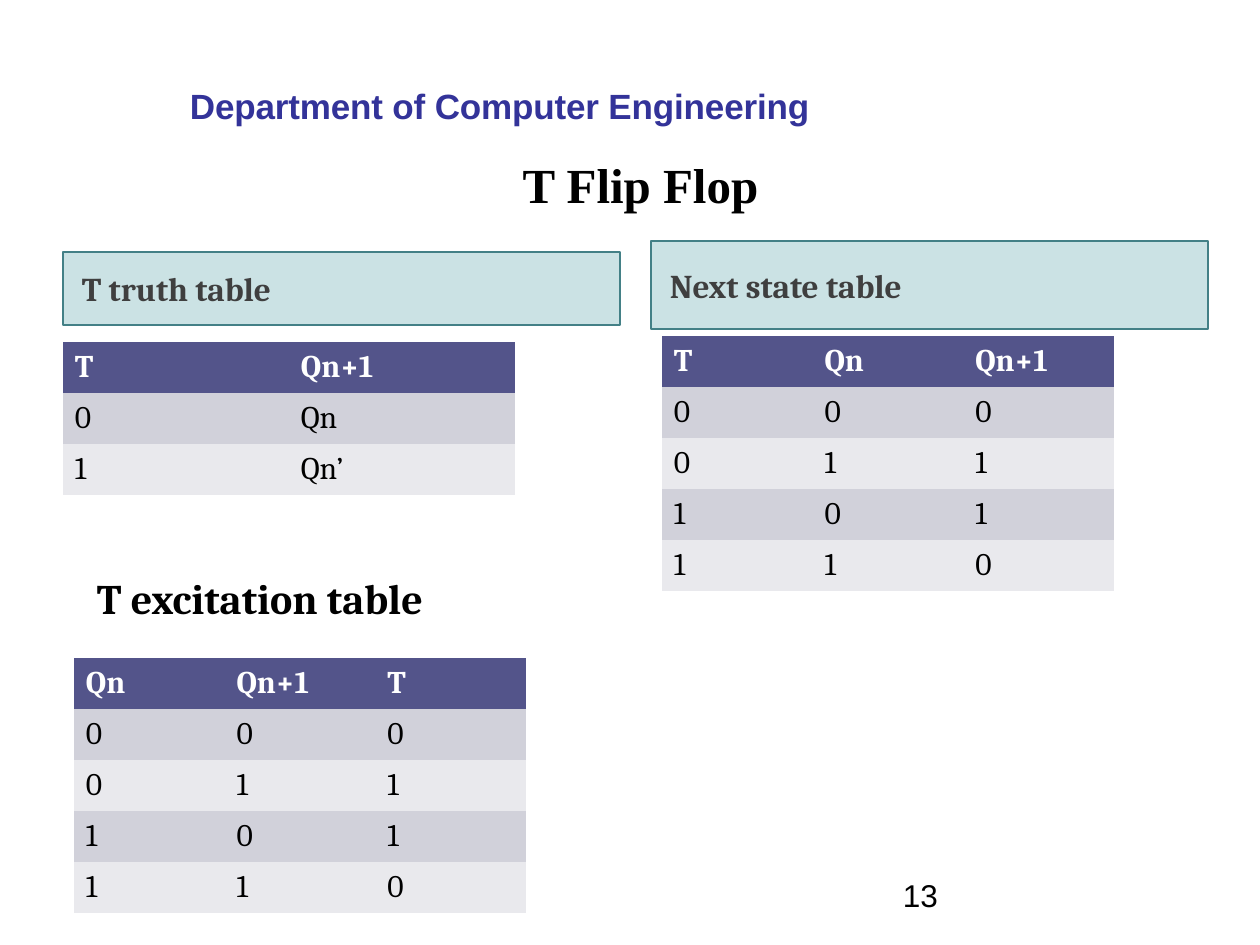
from lxml import etree
from pptx import Presentation
from pptx.dml.color import RGBColor
from pptx.enum.shapes import MSO_SHAPE
from pptx.enum.text import MSO_ANCHOR, PP_ALIGN
from pptx.oxml.ns import qn
from pptx.util import Pt

PX = 914400 / 126
RECT = MSO_SHAPE.RECTANGLE
TOP, MIDDLE = MSO_ANCHOR.TOP, MSO_ANCHOR.MIDDLE
LEFT, CENTER = PP_ALIGN.LEFT, PP_ALIGN.CENTER
BLACK = RGBColor(0x00, 0x00, 0x00)
WHITE = RGBColor(0xFF, 0xFF, 0xFF)
GREY = RGBColor(0x3F, 0x3F, 0x3F)
NAVY = RGBColor(0x33, 0x33, 0x99)
TEAL = RGBColor(0x32, 0x8E, 0x97)
TEAL_LINE = RGBColor(0x43, 0x80, 0x86)
HEADER = RGBColor(0x53, 0x54, 0x8A)
BANDS = (RGBColor(0xD1, 0xD1, 0xDA), RGBColor(0xE9, 0xE9, 0xED))
NO_STYLE = "{2D5ABB26-0587-4C30-8999-92F81FD0307C}"
ROW_H = 51
TABLE_W = 452

STATES = [("0", "0", "0"), ("0", "1", "1"), ("1", "0", "1"), ("1", "1", "0")]


def px(n):
    """Turn pixels into EMU."""
    return round(n * PX)


def set_text(tf, text, size, color, font="Cambria", bold=True, align=LEFT):
    """Write one formatted paragraph and return it."""
    tf.text = text
    p = tf.paragraphs[0]
    p.alignment = align
    f = p.runs[0].font
    f.name, f.size, f.bold = font, Pt(size), bold
    f.color.rgb = color
    return p


def set_insets(box, left, top, right, bottom):
    """Set the inner margins of a text frame or cell."""
    box.margin_left, box.margin_top = px(left), px(top)
    box.margin_right, box.margin_bottom = px(right), px(bottom)


def add_label(s, x, y, w, h, text, size, color, font="Cambria", bold=True,
              align=LEFT, anchor=TOP, insets=(13, 6, 13, 6)):
    """Add a plain text box and return its paragraph."""
    tf = s.shapes.add_textbox(px(x), px(y), px(w), px(h)).text_frame
    tf.word_wrap = True
    tf.vertical_anchor = anchor
    set_insets(tf, *insets)
    return set_text(tf, text, size, color, font, bold, align)


def add_banner(s, x, y, w, h, text):
    """Add a translucent teal heading bar."""
    sp = s.shapes.add_shape(RECT, px(x), px(y), px(w), px(h))
    sp.shadow.inherit = False
    sp.fill.solid()
    sp.fill.fore_color.rgb = TEAL
    color = next(sp.element.spPr.iter(qn("a:srgbClr")))
    etree.SubElement(color, qn("a:alpha")).set("val", "25000")
    sp.line.color.rgb = TEAL_LINE
    sp.line.width = Pt(1)
    tf = sp.text_frame
    tf.word_wrap = True
    tf.vertical_anchor = MIDDLE
    set_insets(tf, 19, 6, 13, 6)
    set_text(tf, text, 19, GREY).space_before = Pt(3)


def add_state_table(s, x, y, header, rows):
    """Add a banded table with equal columns and rows."""
    data = [header, *rows]
    frame = s.shapes.add_table(len(data), len(header), px(x), px(y),
                               px(TABLE_W), px(ROW_H * len(data)))
    next(frame.element.iter(qn("a:tableStyleId"))).text = NO_STYLE
    for i, values in enumerate(data):
        frame.table.rows[i].height = px(ROW_H)
        for j, value in enumerate(values):
            cell = frame.table.cell(i, j)
            cell.fill.solid()
            cell.fill.fore_color.rgb = BANDS[(i - 1) % 2] if i else HEADER
            set_insets(cell, 12, 7, 12, 6)
            p = set_text(cell.text_frame, value, 18, BLACK if i else WHITE,
                         bold=i == 0)
            p.line_spacing = 0.97


def add_titles(s, x, y, w):
    """Add the department line and the slide title."""
    p = add_label(s, x + 126, y, 628, 45, "Department of Computer Engineering",
                  20, NAVY, "Arial", insets=(1, 1, 0, 0))
    p.space_before = Pt(1)
    p.runs[0].font.element.set("spc", "-10") if hasattr(
        p.runs[0].font, "element") else next(
        s.shapes[-1].element.iter(qn("a:rPr"))).set("spc", "-10")
    add_label(s, x, y + 63, w, 74, "T Flip Flop", 28, BLACK,
              "Times New Roman", align=CENTER, anchor=MIDDLE)


def main():
    """Build and save the slide."""
    prs = Presentation()
    prs.slide_width, prs.slide_height = px(1260), px(945)
    s = prs.slides.add_slide(prs.slide_layouts[6])
    add_titles(s, 63, 84, 1155)
    add_banner(s, 63, 252, 557, 73, "T truth table")
    add_banner(s, 651, 241, 557, 88, "Next state table")
    add_state_table(s, 63, 342, ("T", "Qn+1"), [("0", "Qn"), ("1", "Qn’")])
    add_state_table(s, 662, 336, ("T", "Qn", "Qn+1"), STATES)
    add_label(s, 84, 567, 536, 113, "T excitation table", 24, BLACK)
    add_state_table(s, 74, 658, ("Qn", "Qn+1", "T"), STATES)
    add_label(s, 903, 876, 294, 50, "13", 18, BLACK, "Arial", False,
              insets=(0, 0, 0, 0))
    prs.save("out.pptx")


if __name__ == "__main__":
    main()
